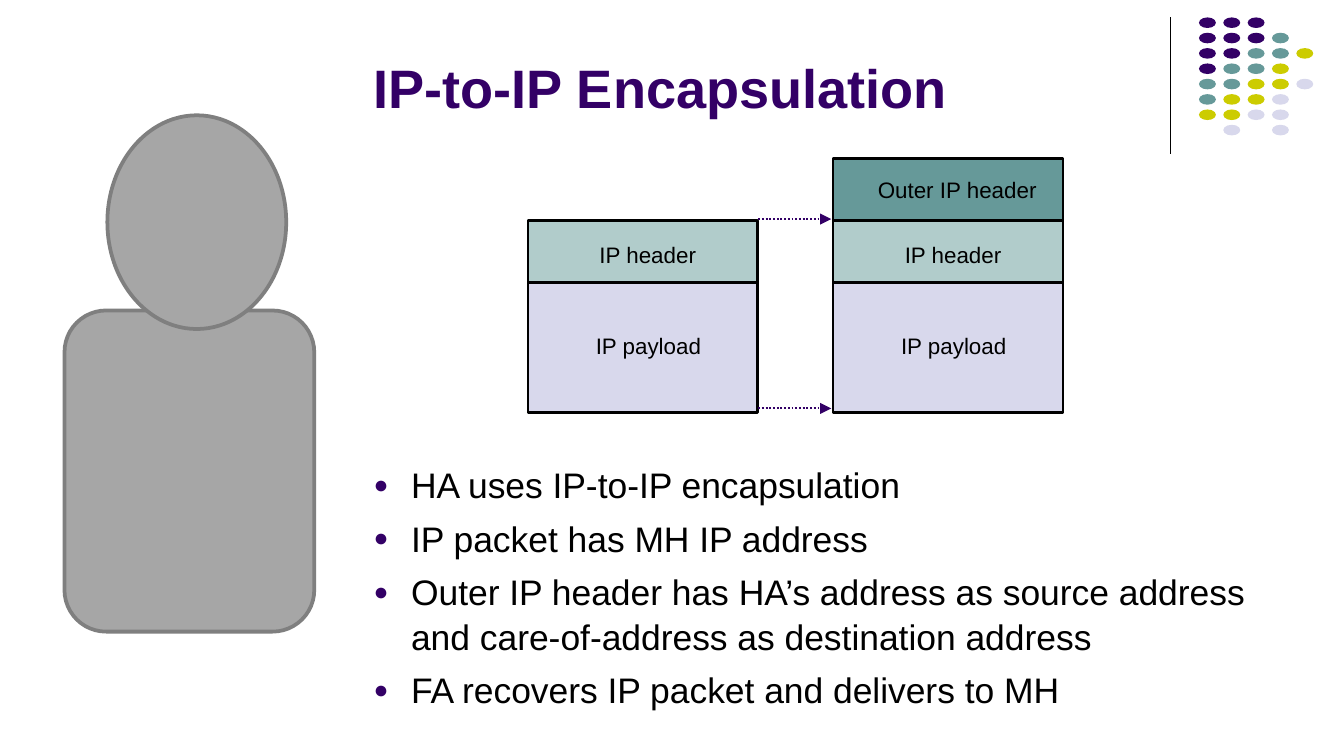
from lxml.etree import SubElement
from pptx import Presentation
from pptx.dml.color import RGBColor
from pptx.enum.dml import MSO_LINE
from pptx.enum.shapes import MSO_CONNECTOR, MSO_SHAPE
from pptx.enum.text import MSO_ANCHOR
from pptx.oxml.ns import qn
from pptx.util import Cm, Pt

PURPLE, TEAL, LIME, LILAC = "330066", "669999", "CCCC00", "D8D8EC"
PALE_TEAL, BLACK, GREY, DARK_GREY = "B1CCCB", "000000", "A6A6A6", "7F7F7F"


def color(hex_code):
    return RGBColor.from_string(hex_code)


class SlideBuilder:
    font_name = "Arial"

    def __init__(self, slide):
        self.slide = slide

    def shape(self, kind, x, y, w, h, fill, outline=None, weight=1.25):
        shape = self.slide.shapes.add_shape(kind, Cm(x), Cm(y), Cm(w), Cm(h))
        shape.shadow.inherit = False
        shape.fill.solid()
        shape.fill.fore_color.rgb = color(fill)
        if outline:
            shape.line.color.rgb = color(outline)
            shape.line.width = Pt(weight)
        else:
            shape.line.fill.background()

    def line(self, x1, y1, x2, y2, stroke, weight, arrow=False):
        line = self.slide.shapes.add_connector(
            MSO_CONNECTOR.STRAIGHT, Cm(x1), Cm(y1), Cm(x2), Cm(y2))
        line.line.color.rgb = color(stroke)
        line.line.width = Pt(weight)
        properties = line._element.spPr
        if arrow:
            line.line.dash_style = MSO_LINE.ROUND_DOT
            SubElement(properties.find(qn("a:ln")), qn("a:tailEnd"), type="triangle")
        SubElement(properties, qn("a:effectLst"))

    def text(self, x, y, w, h, lines, size, ink=BLACK, bold=False,
             anchor=MSO_ANCHOR.TOP, wrap=True, bullets=False):
        box = self.slide.shapes.add_textbox(Cm(x), Cm(y), Cm(w), Cm(h))
        frame = box.text_frame
        frame.word_wrap = wrap
        frame.vertical_anchor = anchor
        if not wrap:
            frame.margin_left = frame.margin_right = 0
            frame.margin_top = frame.margin_bottom = 0
        frame.text = "\n".join(lines)
        for index, paragraph in enumerate(frame.paragraphs):
            if bullets:
                self.bullet(paragraph)
                paragraph.line_spacing = 1.05
                if index:
                    paragraph.space_before = Pt(4.8)
            paragraph.font.name = self.font_name
            paragraph.font.size = Pt(size)
            paragraph.font.bold = bold
            paragraph.font.color.rgb = color(ink)

    def bullet(self, paragraph):
        properties = paragraph._p.get_or_add_pPr()
        properties.set("marL", str(Cm(0.71)))
        properties.set("indent", str(-Cm(0.71)))
        bullet_color = SubElement(properties, qn("a:buClr"))
        SubElement(bullet_color, qn("a:srgbClr"), val=PURPLE)
        SubElement(properties, qn("a:buSzPct"), val="70000")
        SubElement(properties, qn("a:buFont"), typeface=self.font_name)
        SubElement(properties, qn("a:buChar"), char="●")


def main():
    deck = Presentation()
    deck.slide_width, deck.slide_height = Cm(25.4), Cm(14.29)
    builder = SlideBuilder(deck.slides.add_slide(deck.slide_layouts[6]))

    # Corner decoration: one letter per dot, a space leaves a gap
    builder.line(22.12, 0.33, 22.12, 2.92, BLACK, 0.75)
    dot_colors = {"P": PURPLE, "T": TEAL, "Y": LIME, "L": LILAC}
    dot_rows = ["PPP", "PPPT", "PPTTY", "PTTY", "TTYYL", "TYYL", "YYLL", " L L"]
    for row, dots in enumerate(dot_rows):
        for column, dot in enumerate(dots):
            if dot in dot_colors:
                builder.shape(MSO_SHAPE.OVAL, 22.66 + 0.46 * column, 0.33 + 0.29 * row,
                              0.32, 0.2, dot_colors[dot])

    # Title and key points
    builder.text(6.81, 0.25, 15.42, 2.13, ["IP-to-IP Encapsulation"], 29,
                 ink=PURPLE, bold=True, anchor=MSO_ANCHOR.BOTTOM)
    key_points = [
        "HA uses IP-to-IP encapsulation",
        "IP packet has MH IP address",
        "Outer IP header has HA’s address as source address "
        "and care-of-address as destination address",
        "FA recovers IP packet and delivers to MH",
    ]
    builder.text(6.81, 8.59, 17.15, 5.13, key_points, 19, bullets=True)

    # Packets before and after encapsulation
    # Layer: name, top, height, fill, label offset x, label offset y, label width
    outer_header = ("Outer IP header", 3, 1.17, TEAL, 0.84, 0.33, 3.02)
    original_packet = [
        ("IP header", 4.17, 1.17, PALE_TEAL, 1.35, 0.38, 1.83),
        ("IP payload", 5.34, 2.46, LILAC, 1.28, 0.94, 2.01),
    ]
    packets = [(9.98, original_packet), (15.75, [outer_header] + original_packet)]
    for left, layers in packets:
        for name, top, height, fill, dx, dy, label_width in layers:
            builder.shape(MSO_SHAPE.RECTANGLE, left, top, 4.34, height, fill, BLACK)
            builder.text(left + dx, top + dy, label_width, 0.51, [name], 12, wrap=False)

    # Arrows from the original packet to its encapsulated form
    for level in (4.14, 7.72):
        builder.line(14.33, level, 15.71, level, PURPLE, 1, arrow=True)

    # Person
    builder.shape(MSO_SHAPE.ROUNDED_RECTANGLE, 1.22, 5.87, 4.72, 6.07,
                  GREY, DARK_GREY, 2)
    builder.shape(MSO_SHAPE.OVAL, 2.03, 2.18, 3.38, 4.04, GREY, DARK_GREY, 2)

    deck.save("out.pptx")


if __name__ == "__main__":
    main()
